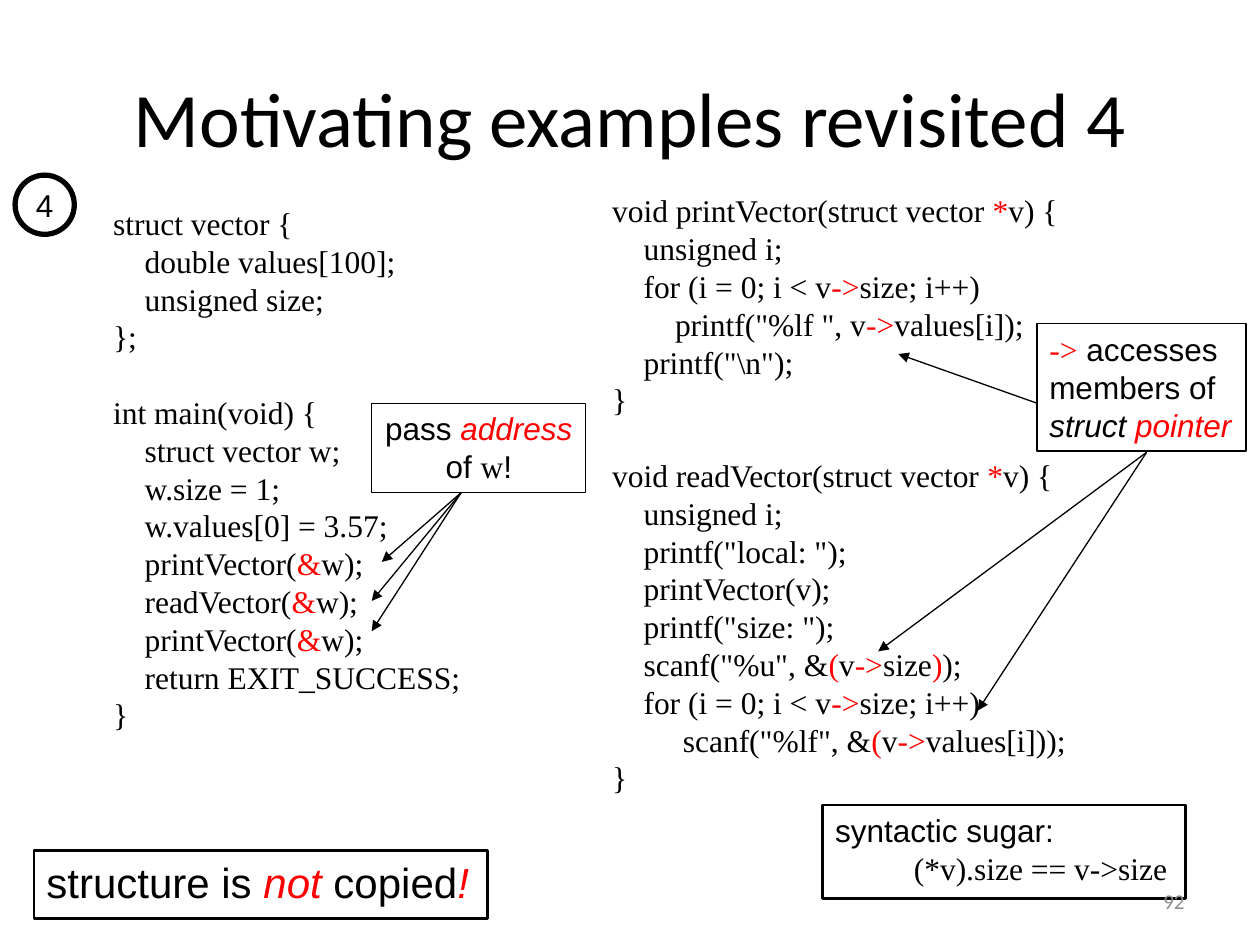
from typing import NamedTuple

from lxml import etree
from pptx import Presentation
from pptx.dml.color import RGBColor
from pptx.enum.shapes import MSO_CONNECTOR, MSO_SHAPE
from pptx.enum.text import MSO_ANCHOR, MSO_AUTO_SIZE, PP_ALIGN
from pptx.oxml.ns import qn
from pptx.util import Pt

PX = 9144  # EMU per px, 100 px to the inch

BLACK = RGBColor(0x00, 0x00, 0x00)
WHITE = RGBColor(0xFF, 0xFF, 0xFF)
RED = RGBColor(0xFF, 0x00, 0x00)
GREY = RGBColor(0x8C, 0x8C, 0x8C)
SANS, SERIF, HEADING = "Arial", "Times New Roman", "Calibri"
LEFT, CENTER, RIGHT = PP_ALIGN.LEFT, PP_ALIGN.CENTER, PP_ALIGN.RIGHT
TOP, MIDDLE = MSO_ANCHOR.TOP, MSO_ANCHOR.MIDDLE
RECT, OVAL = MSO_SHAPE.RECTANGLE, MSO_SHAPE.OVAL
STRAIGHT = MSO_CONNECTOR.STRAIGHT
FIT, FIXED = MSO_AUTO_SIZE.SHAPE_TO_FIT_TEXT, MSO_AUTO_SIZE.NONE
CODE_LINE = Pt(21.6)


class Box(NamedTuple):
    x: int
    y: int
    w: int
    h: int


class Run(NamedTuple):
    text: str
    color: RGBColor = BLACK
    italic: bool = False
    font: str | None = None


class Arrow(NamedTuple):
    x1: int
    y1: int
    x2: int
    y2: int


class Callout(NamedTuple):
    box: Box
    lines: list[list[Run]]
    line: float
    size: int = 18
    align: PP_ALIGN = LEFT
    arrows: tuple[Arrow, ...] = ()


def marked(line: str) -> list[Run]:
    """Split a code line into runs; text between bars is red."""
    return [Run(part, RED if i % 2 else BLACK)
            for i, part in enumerate(line.split("|")) if part]


def write(sp, lines: list[list[Run]], *, font: str = SANS, size: int = 18,
          align: PP_ALIGN = LEFT, anchor: MSO_ANCHOR = TOP,
          wrap: bool = False, grow: bool = True) -> None:
    """Fill a shape with paragraphs; an empty line becomes space before the next."""
    tf = sp.text_frame
    tf.word_wrap = wrap
    tf.auto_size = FIT if grow else FIXED
    tf.vertical_anchor = anchor
    p, gap = None, False
    for runs in lines:
        if not runs:
            gap = True
            continue
        p = tf.paragraphs[0] if p is None else tf.add_paragraph()
        p.alignment = align
        if gap:
            p.space_before = CODE_LINE
            gap = False
        for run in runs:
            r = p.add_run()
            r.text = run.text
            r.font.name = run.font or font
            r.font.size = Pt(size)
            r.font.italic = run.italic
            r.font.color.rgb = run.color


def add_text(s, box: Box, lines: list[list[Run]], **fmt) -> None:
    write(s.shapes.add_textbox(*(v * PX for v in box)), lines, **fmt)


def add_outlined(s, kind: MSO_SHAPE, box: Box, lines: list[list[Run]],
                 line: float, fill: RGBColor | None = None, **fmt) -> None:
    sp = s.shapes.add_shape(kind, *(v * PX for v in box))
    sp.shadow.inherit = False
    if fill is None:
        sp.fill.background()
    else:
        sp.fill.solid()
        sp.fill.fore_color.rgb = fill
    sp.line.color.rgb = BLACK
    sp.line.width = Pt(line)
    write(sp, lines, **fmt)


def add_arrow(s, arrow: Arrow) -> None:
    cn = s.shapes.add_connector(STRAIGHT, *(v * PX for v in arrow))
    cn.line.color.rgb = BLACK
    cn.line.width = Pt(0.75)
    sp_pr = cn.element.spPr
    etree.SubElement(sp_pr.find(qn("a:ln")), qn("a:tailEnd"), type="triangle")
    etree.SubElement(sp_pr, qn("a:effectLst"))


MAIN_CODE = """struct vector {
    double values[100];
    unsigned size;
};

int main(void) {
    struct vector w;
    w.size = 1;
    w.values[0] = 3.57;
    printVector(|&|w);
    readVector(|&|w);
    printVector(|&|w);
    return EXIT_SUCCESS;
}"""

FUNCTION_CODE = r"""void printVector(struct vector |*|v) {
    unsigned i;
    for (i = 0; i < v|->|size; i++)
        printf("%lf ", v|->|values[i]);
    printf("\n");
}

void readVector(struct vector |*|v) {
    unsigned i;
    printf("local: ");
    printVector(v);
    printf("size: ");
    scanf("%u", &|(|v|->|size|)|);
    for (i = 0; i < v|->|size; i++)
         scanf("%lf", &|(|v|->|values[i]));
}"""

CALLOUTS = [
    Callout(Box(27, 675, 360, 54),
            [[Run("structure is "), Run("not", RED, True), Run(" copied"),
              Run("!", RED, True)]], line=1.5, size=24),
    Callout(Box(295, 320, 170, 71),
            [[Run("pass "), Run("address", RED, True)],
             [Run("of "), Run("w", font=SERIF), Run("!")]],
            line=0.75, align=CENTER,
            arrows=(Arrow(366, 391, 303, 446), Arrow(366, 391, 295, 477),
                    Arrow(366, 391, 295, 501))),
    Callout(Box(823, 257, 166, 101),
            [[Run("->", RED, font=SERIF), Run(" accesses")],
             [Run("members of")],
             [Run("struct ", italic=True), Run("pointer", RED, True)]],
            line=0.75,
            arrows=(Arrow(823, 320, 713, 281), Arrow(910, 359, 697, 517),
                    Arrow(910, 359, 776, 564))),
    Callout(Box(653, 639, 288, 74),
            [[Run("syntactic sugar:")],
             [Run("          (*v).size == v->size", font=SERIF)]], line=1.5),
]


def main() -> None:
    prs = Presentation()
    prs.slide_width, prs.slide_height = 1000 * PX, 750 * PX
    s = prs.slides.add_slide(prs.slide_layouts[6])

    # Title
    add_text(s, Box(50, 30, 900, 125), [[Run("Motivating examples revisited 4")]],
             font=HEADING, size=44, align=CENTER, anchor=MIDDLE, wrap=True, grow=False)

    # Code columns
    for box, code, wrap in ((Box(80, 157, 296, 431), MAIN_CODE, False),
                            (Box(476, 147, 433, 491), FUNCTION_CODE, True)):
        add_text(s, box, [marked(line) for line in code.split("\n")],
                 font=SERIF, wrap=wrap)

    # Example number
    add_outlined(s, OVAL, Box(12, 139, 47, 47), [[Run("4")]], line=3, fill=WHITE,
                 align=CENTER, anchor=MIDDLE, grow=False)

    # Callouts and their arrows
    for c in CALLOUTS:
        add_outlined(s, RECT, c.box, c.lines, c.line, size=c.size, align=c.align)
        for arrow in c.arrows:
            add_arrow(s, arrow)

    # Slide number
    add_text(s, Box(717, 695, 233, 40), [[Run("92", GREY)]], font=HEADING, size=12,
             align=RIGHT, anchor=MIDDLE, wrap=True, grow=False)

    prs.save("out.pptx")


if __name__ == "__main__":
    main()
